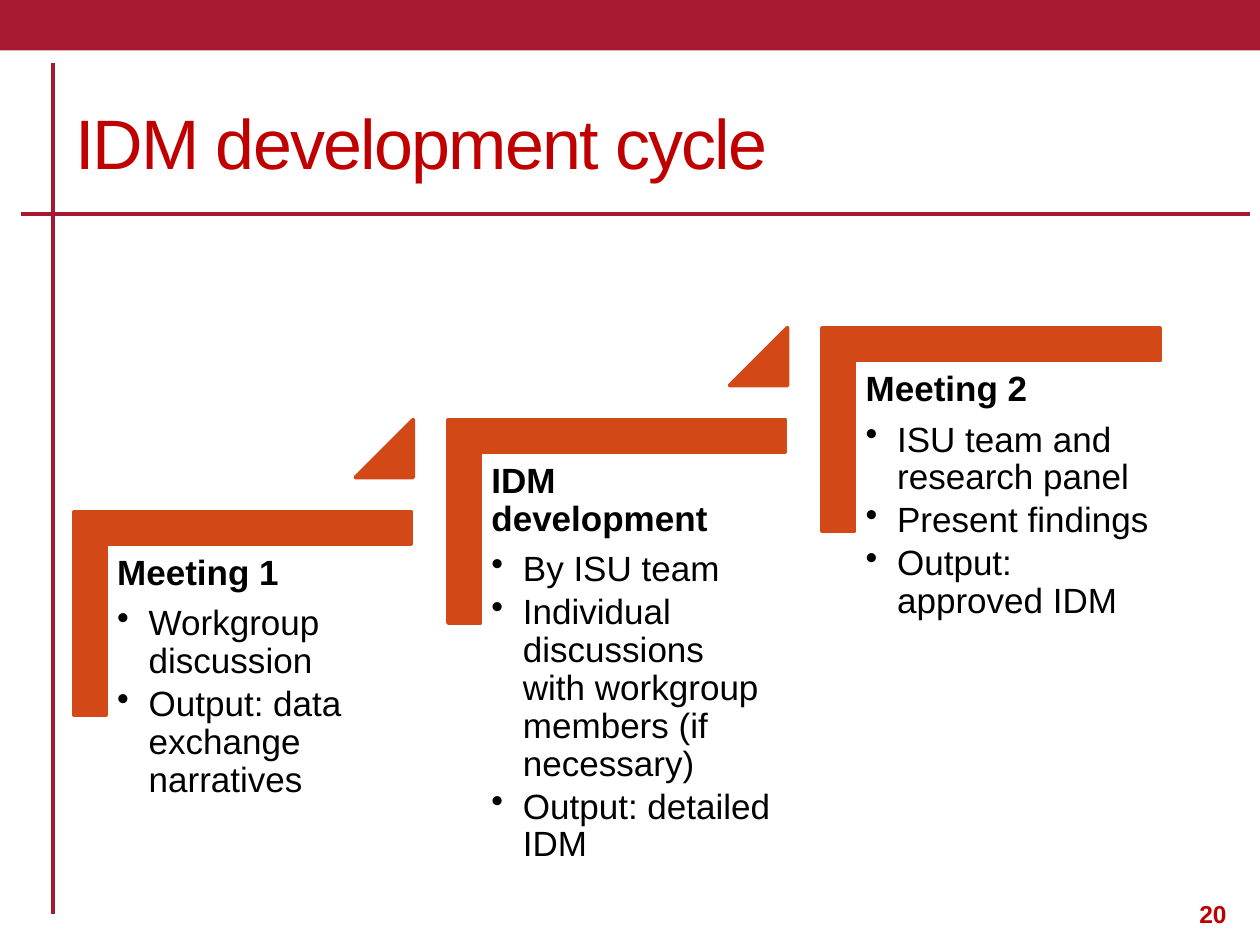
from dataclasses import dataclass

from lxml import etree
from pptx import Presentation
from pptx.dml.color import RGBColor
from pptx.enum.shapes import MSO_CONNECTOR, MSO_SHAPE
from pptx.enum.text import MSO_ANCHOR
from pptx.oxml.ns import qn
from pptx.util import Inches, Pt

RECTANGLE = MSO_SHAPE.RECTANGLE
CORNER = MSO_SHAPE.CORNER
TRIANGLE = MSO_SHAPE.ISOSCELES_TRIANGLE
STRAIGHT = MSO_CONNECTOR.STRAIGHT
TOP = MSO_ANCHOR.TOP
MIDDLE = MSO_ANCHOR.MIDDLE

CRIMSON = "A71930"
RED = "C00000"
ORANGE = "D34817"
BLACK = "000000"
LINE_WIDTH = Pt(2.08)

FIRST_LEFT, FIRST_TOP = 0.85, 4.33
STEP_RIGHT, STEP_UP = 2.97, 0.73


@dataclass
class Area:
    left: float
    top: float
    width: float
    height: float

    def lengths(self) -> list:
        return [Inches(n) for n in (self.left, self.top, self.width, self.height)]


@dataclass
class Stage:
    heading: str
    points: list[str]


STAGES = [
    Stage("Meeting 1", ["Workgroup discussion", "Output: data exchange narratives"]),
    Stage("IDM development", [
        "By ISU team",
        "Individual discussions with workgroup members (if necessary)",
        "Output: detailed IDM",
    ]),
    Stage("Meeting 2", [
        "ISU team and research panel",
        "Present findings",
        "Output: approved IDM",
    ]),
]


def color(value: str) -> RGBColor:
    return RGBColor.from_string(value)


def apply_format(target, values: dict) -> None:
    for name, value in values.items():
        setattr(target, name, value)


def add_filled(page, kind, area: Area, fill: str, outlined: bool = True):
    shape = page.shapes.add_shape(kind, *area.lengths())
    shape.shadow.inherit = False
    shape.fill.solid()
    shape.fill.fore_color.rgb = color(fill)
    if outlined:
        shape.line.color.rgb = color(fill)
        shape.line.width = LINE_WIDTH
    else:
        shape.line.fill.background()
    return shape


def add_rule(page, x1: float, y1: float, x2: float, y2: float) -> None:
    rule = page.shapes.add_connector(
        STRAIGHT, Inches(x1), Inches(y1), Inches(x2), Inches(y2))
    rule.line.color.rgb = color(CRIMSON)
    rule.line.width = LINE_WIDTH
    etree.SubElement(rule._element.spPr, qn("a:effectLst"))


def add_box(page, area: Area, anchor):
    frame = page.shapes.add_textbox(*area.lengths()).text_frame
    apply_format(frame, {"word_wrap": True, "vertical_anchor": anchor})
    return frame


def write(para, text: str, size: float, shade: str, bold: bool = False):
    span = para.add_run()
    span.text = text
    apply_format(span.font, {"name": "Arial", "size": Pt(size), "bold": bold})
    span.font.color.rgb = color(shade)
    return span


def add_bullet(para) -> None:
    properties = para._p.get_or_add_pPr()
    indent = Inches(0.25)
    properties.set("marL", str(indent))
    properties.set("indent", str(-indent))
    etree.SubElement(properties, qn("a:buChar")).set("char", "•")


def add_stage_text(page, area: Area, stage: Stage) -> None:
    frame = add_box(page, area, TOP)
    sides = ("left", "top", "right", "bottom")
    apply_format(frame, {f"margin_{side}": Inches(0.08) for side in sides})
    heading = frame.paragraphs[0]
    apply_format(heading, {"line_spacing": 0.9, "space_after": Pt(7)})
    write(heading, stage.heading, 20, BLACK, bold=True)
    for point in stage.points:
        para = frame.add_paragraph()
        apply_format(para, {"level": 1, "line_spacing": 0.9, "space_after": Pt(3)})
        add_bullet(para)
        write(para, point, 20, BLACK)


def add_stage(page, index: int, stage: Stage) -> None:
    left = FIRST_LEFT + index * STEP_RIGHT
    top = FIRST_TOP - index * STEP_UP
    corner = add_filled(
        page, CORNER, Area(left + 0.27, top - 0.8, 1.61, 2.68), ORANGE)
    corner.rotation = 90
    for position in range(2):
        corner.adjustments[position] = 0.16
    add_stage_text(page, Area(left, top, 2.42, 2.12), stage)
    if index < len(STAGES) - 1:
        triangle = add_filled(
            page, TRIANGLE, Area(left + 1.97, top - 1, 0.46, 0.46), ORANGE)
        triangle.adjustments[0] = 1


def main() -> None:
    deck = Presentation()
    deck.slide_width, deck.slide_height = Inches(10), Inches(7.5)
    page = deck.slides.add_slide(deck.slide_layouts[6])

    add_filled(page, RECTANGLE, Area(0, 0, 10, 0.4), CRIMSON, outlined=False)
    add_rule(page, 0.17, 1.7, 9.92, 1.7)
    add_rule(page, 0.42, 0.5, 0.42, 7.25)

    title = add_box(page, Area(0.5, 0.58, 9, 1.08), MIDDLE)
    span = write(title.paragraphs[0], "IDM development cycle", 40, RED)
    span.font._element.set("spc", "-100")
    number = add_box(page, Area(9.42, 7.07, 0.5, 0.36), MIDDLE)
    write(number.paragraphs[0], "20", 14, RED, bold=True)

    for index, stage in enumerate(STAGES):
        add_stage(page, index, stage)
    deck.save("out.pptx")


if __name__ == "__main__":
    main()
